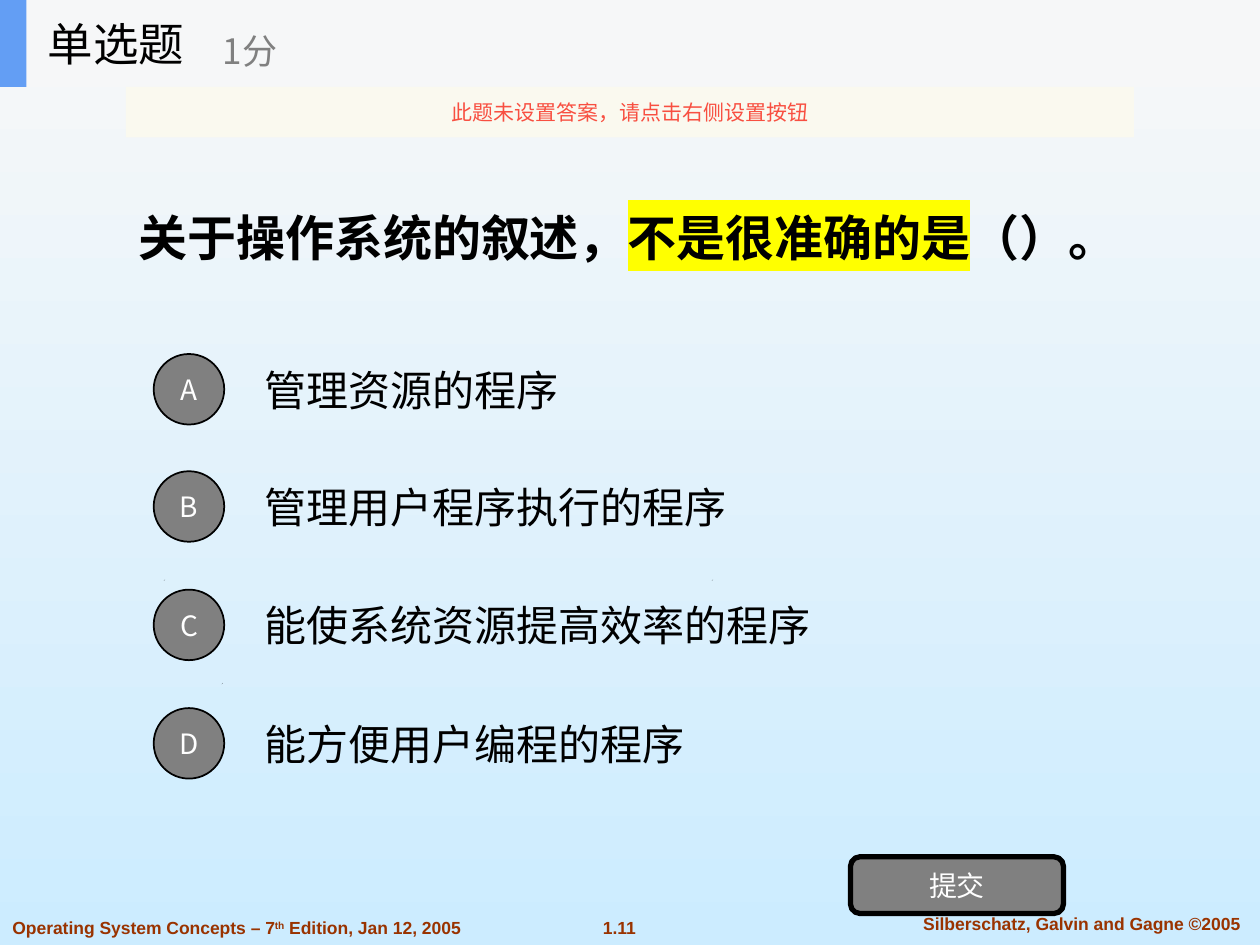
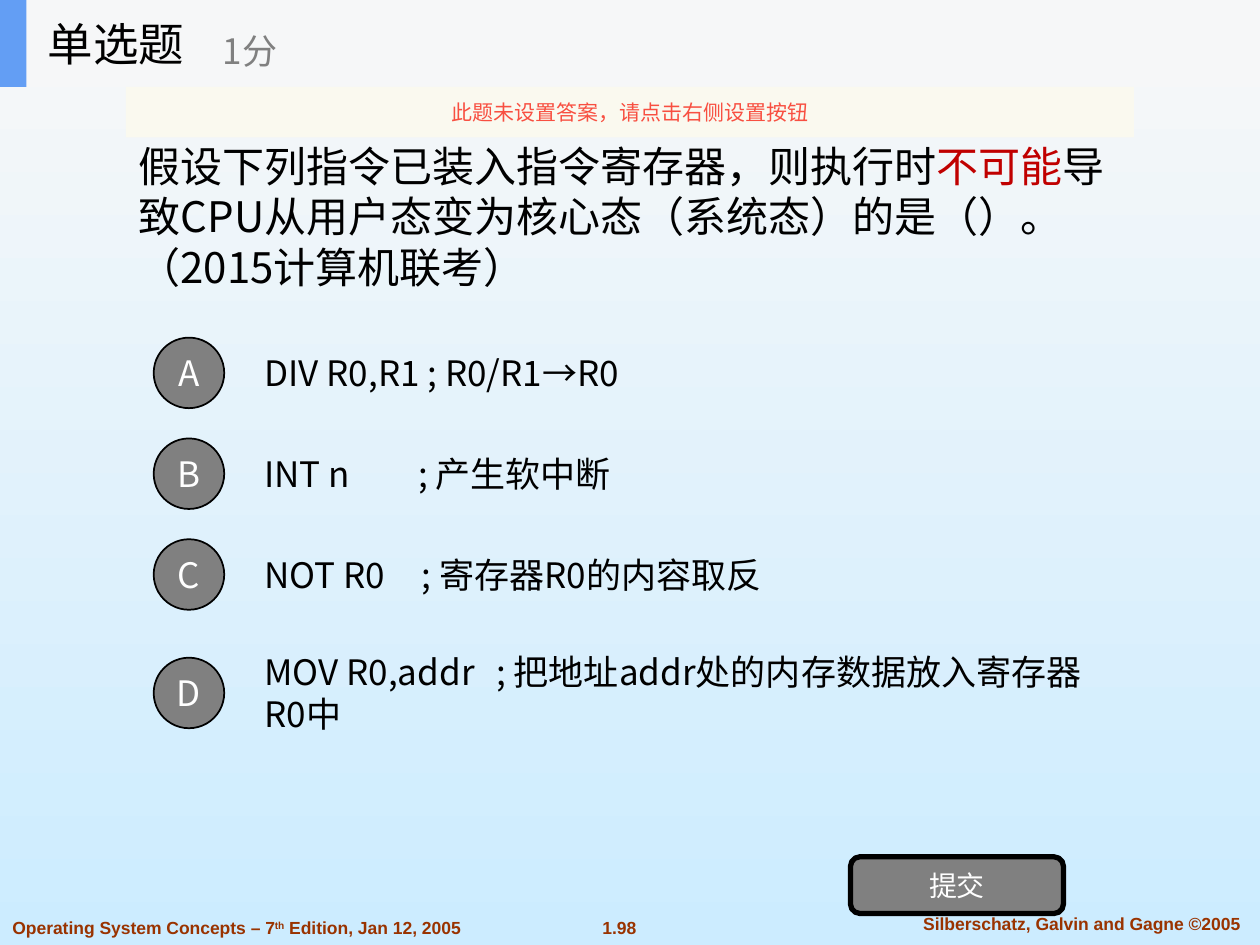
from lxml.etree import SubElement
from pptx import Presentation
from pptx.dml.color import RGBColor
from pptx.enum.shapes import MSO_SHAPE as Shape
from pptx.enum.text import MSO_ANCHOR as Anchor, MSO_AUTO_SIZE as AutoSize, PP_ALIGN as Align
from pptx.oxml.ns import qn
from pptx.util import Inches, Pt

SKY_TOP = RGBColor(0xF8, 0xF8, 0xF8)
SKY_BOTTOM = RGBColor(0xCC, 0xEC, 0xFF)
BLACK = RGBColor(0, 0, 0)
WHITE = RGBColor(0xFF, 0xFF, 0xFF)
GREY = RGBColor(0x80, 0x80, 0x80)
RUST = RGBColor(0x99, 0x33, 0x00)
RED = RGBColor(0xC0, 0x00, 0x00)
BAND = RGBColor(0xF6, 0xF7, 0xF8)
BLUE = RGBColor(0x63, 0x9E, 0xF4)
CREAM = RGBColor(0xFB, 0xFA, 0xEF)
CORAL = RGBColor(0xF8, 0x4F, 0x41)
YELLOW = RGBColor(0xFF, 0xFF, 0x00)

LATIN, CJK = "Arial", "Noto Sans CJK SC"
FOOTER = dict(name=LATIN, size=10, color=RUST, bold=True)

# Each question: text runs are (text, changes to the base style)
QUESTIONS = [
    dict(
        number="1.11", box=(1, 1.39, 8.31, 0.98),
        style=dict(name=LATIN, size=28, bold=True),
        lines=[[("关于操作系统的叙述，", {}), ("不是很准确的是", dict(highlight=YELLOW)),
                ("（）。", {})]],
        option_style=dict(name=LATIN, size=24), letter_size=16,
        options=[(2.74, "管理资源的程序", None), (3.67, "管理用户程序执行的程序", None),
                 (4.61, "能使系统资源提高效率的程序", None), (5.55, "能方便用户编程的程序", None)],
    ),
    dict(
        number="1.98", box=(1, 0.78, 8, 1.87),
        style=dict(name=CJK, size=24),
        lines=[[("假设下列指令已装入指令寄存器，则执行时", {}), ("不可能", dict(color=RED)),
                ("导致CPU从用户态变为核心态（系统态）的是（）。", {})],
               [("（2015计算机联考）", {})]],
        option_style=dict(name=CJK, size=20), letter_size=20,
        options=[(2.61, "DIV R0,R1 ; R0/R1→R0", None), (3.41, "INT n\t; 产生软中断", 1.22),
                 (4.21, "NOT R0\t; 寄存器R0的内容取反", 1.25),
                 (5.15, "MOV R0,addr\t; 把地址addr处的内存数据放入寄存器R0中", 1.84)],
    ),
]


def place(item, box):
    for side, length in zip(("left", "top", "width", "height"), box):
        setattr(item, side, Inches(length))


def add_span(para, text, name=CJK, size=12, color=BLACK, bold=False,
             highlight=None, baseline=None):
    span = para.add_run()
    span.text = text
    for key, value in dict(name=name, size=Pt(size), bold=bold).items():
        setattr(span.font, key, value)
    span.font.color.rgb = color
    props = span.font._element
    if highlight:
        mark = SubElement(props, qn("a:highlight"))
        SubElement(mark, qn("a:srgbClr"), val=str(highlight))
        props.find(qn("a:solidFill")).addnext(mark)
    if baseline:
        props.set("baseline", str(baseline * 1000))
    props.find(qn("a:latin")).addnext(SubElement(props, qn("a:ea"), typeface=CJK))


def write(item, lines, style, align=Align.LEFT, anchor=Anchor.MIDDLE, wrap=True):
    frame = item.text_frame
    for key, value in dict(word_wrap=wrap, auto_size=AutoSize.NONE,
                           vertical_anchor=anchor).items():
        setattr(frame, key, value)
    for index, spans in enumerate(lines):
        para = frame.add_paragraph() if index else frame.paragraphs[0]
        para.alignment = align
        for text, changes in spans:
            add_span(para, text, **{**style, **changes})
    return frame


def add_label(shapes, box, text, style, **layout):
    label = shapes.add_textbox(*map(Inches, box))
    return write(label, [[(text, {})]], style, **layout)


def add_block(shapes, kind, box, fill, line_width=0):
    block = shapes.add_shape(kind, *map(Inches, box))
    block.shadow.inherit = False
    block.fill.solid()
    block.fill.fore_color.rgb = fill
    if line_width:
        block.line.color.rgb = BLACK
        block.line.width = Pt(line_width)
    else:
        block.line.fill.background()
    return block


def set_background(deck):
    fill = deck.slide_master.background.fill
    fill.gradient()
    fill.gradient_angle = 270
    for stop, color in zip(fill.gradient_stops, (SKY_TOP, SKY_BOTTOM)):
        stop.color.rgb = color


def add_specks(page):
    for left, top in ((1.76, 5.42), (1.3, 4.6), (5.65, 4.6)):
        pen = page.shapes.build_freeform(Inches(left), Inches(top + 0.01))
        pen.add_line_segments([(Inches(left + 0.01), Inches(top)),
                               (Inches(left), Inches(top + 0.01))])
        speck = pen.convert_to_shape()
        speck.shadow.inherit = False
        speck.fill.solid()
        speck.fill.fore_color.rgb = BLACK
        speck.line.fill.background()


def add_footer(page, number):
    add_label(page.shapes, (4.67, 7.23, 0.49, 0.27), number, FOOTER,
              align=Align.CENTER, wrap=False, anchor=Anchor.TOP)
    add_label(page.shapes, (7.1, 7.2, 2.97, 0.27), "Silberschatz, Galvin and Gagne ©2005",
              FOOTER, align=Align.CENTER, anchor=Anchor.TOP)
    book = page.shapes.add_textbox(*map(Inches, (0, 7.23, 3.77, 0.27)))
    write(book, [[("Operating System Concepts – 7", {}), ("th", dict(baseline=30)),
                  (" Edition, Jan 12, 2005", {})]], FOOTER, anchor=Anchor.TOP)


def add_header(page, height=0.69):
    shapes = page.shapes.add_group_shape().shapes
    add_block(shapes, Shape.RECTANGLE, (0, 0, 10, height), BAND)
    add_block(shapes, Shape.RECTANGLE, (0, 0, 0.21, height), BLUE)
    add_label(shapes, (0.28, 0, 2.08, height), "单选题", dict(size=26))
    add_label(shapes, (1.67, 0.12, 2.5, 0.56), "1分", dict(size=20, color=GREY))
    # Translucent notice below the band
    notice = add_block(page.shapes, Shape.RECTANGLE, (1, height, 8, 0.4), CREAM)
    tint = notice.fill._xPr.find(qn("a:solidFill")).find(qn("a:srgbClr"))
    SubElement(tint, qn("a:alpha"), val="90000")
    write(notice, [[("此题未设置答案，请点击右侧设置按钮", {})]], dict(color=CORAL),
          align=Align.CENTER)


def add_option(page, box, letter, text, tab, style, letter_size):
    left, top, width, height = box
    frame = add_label(page.shapes, (left + 0.78, top, width - 0.78, height), text, style)
    if tab:
        props = frame.paragraphs[0]._p.get_or_add_pPr()
        stops = SubElement(props, qn("a:tabLst"))
        SubElement(stops, qn("a:tab"), pos=str(Inches(tab)), algn="l")
    badge = add_block(page.shapes, Shape.OVAL, (left, top + 0.07, 0.56, 0.56), GREY, 1)
    frame = write(badge, [[(letter, {})]], dict(size=letter_size, color=WHITE),
                  align=Align.CENTER)
    frame.margin_left = frame.margin_right = 0


def add_submit(page, box):
    button = add_block(page.shapes, Shape.ROUNDED_RECTANGLE, box, GREY, 3)
    write(button, [[("提交", {})]], dict(size=16, color=WHITE), align=Align.CENTER)


def add_question(deck, question):
    page = deck.slides.add_slide(deck.slide_layouts.get_by_name("Title Only"))
    add_specks(page)
    add_footer(page, question["number"])
    title = page.shapes.title
    place(title, question["box"])
    write(title, question["lines"], question["style"])
    for letter, (top, text, tab) in zip("ABCD", question["options"]):
        add_option(page, (1.22, top, 7.78, 0.7), letter, text, tab,
                   question["option_style"], question["letter_size"])
    add_submit(page, (6.75, 6.8, 1.69, 0.45))
    add_header(page)


def main():
    deck = Presentation()
    deck.slide_width, deck.slide_height = Inches(10), Inches(7.5)
    set_background(deck)
    for question in QUESTIONS:
        add_question(deck, question)
    deck.save("out.pptx")


if __name__ == "__main__":
    main()
